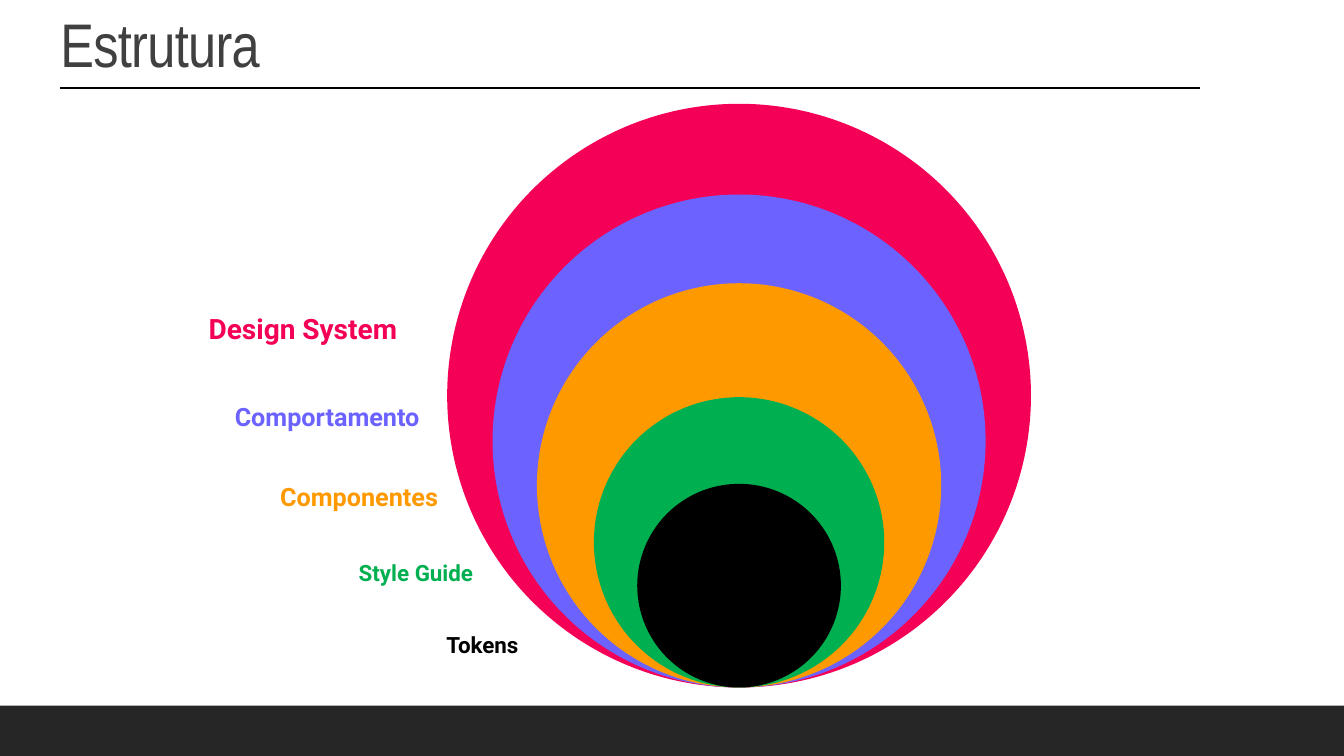
from dataclasses import dataclass

from pptx import Presentation
from pptx.dml.color import RGBColor
from pptx.enum.shapes import MSO_CONNECTOR, MSO_SHAPE
from pptx.enum.text import MSO_ANCHOR
from pptx.oxml.ns import qn
from pptx.util import Inches, Pt


@dataclass(frozen=True)
class Theme:
    heading_font: str = "Arial Narrow"
    label_font: str = "Roboto"
    heading_size: int = 44
    large: int = 20
    medium: int = 18
    small: int = 16
    heading: str = "404040"
    footer: str = "262626"
    black: str = "000000"
    pink: str = "F50057"
    violet: str = "6C63FF"
    orange: str = "FF9900"
    green: str = "00B050"


THEME = Theme()
COLUMNS, ROWS = 133.3, 75
CELL = Inches(0.1)

HEADING = "Estrutura"
# name, colour, type size, circle diameter, label left, label top, label width
LAYERS = [
    ("Design System", THEME.pink, THEME.large, 57.9, 19.7, 30.4, 22.1),
    ("Comportamento", THEME.violet, THEME.medium, 48.9, 22.3, 39.3, 22.1),
    ("Componentes", THEME.orange, THEME.medium, 40.1, 26.8, 47.3, 19.6),
    ("Style Guide", THEME.green, THEME.small, 28.8, 34.6, 55, 15),
    ("Tokens", THEME.black, THEME.small, 20.2, 43.3, 62.1, 13.3),
]
CIRCLE_CENTRE, CIRCLE_BASE = 73.3, 68.2
FOOTER_ROWS = 5
RULE_START, RULE_END, RULE_ROW = 6, 119, 8.7


def cells(*lengths):
    return [round(length * CELL) for length in lengths]


def add_filled(slide, preset, colour, *box):
    shape = slide.shapes.add_shape(preset, *cells(*box))
    shape.shadow.inherit = False
    shape.fill.solid()
    shape.fill.fore_color.rgb = RGBColor.from_string(colour)
    shape.line.fill.background()


def add_text(slide, text, font, size, colour, bold, *box):
    frame = slide.shapes.add_textbox(*cells(*box)).text_frame
    frame.word_wrap = True
    run = frame.paragraphs[0].add_run()
    run.text = text
    run.font.name = font
    run.font.size = Pt(size)
    run.font.bold = bold
    run.font.color.rgb = RGBColor.from_string(colour)
    return frame


def add_heading(slide):
    frame = add_text(slide, HEADING, THEME.heading_font, THEME.heading_size,
                     THEME.heading, False, 5, 0.9, 110, 7.6)
    frame.vertical_anchor = MSO_ANCHOR.BOTTOM
    title = frame.paragraphs[0]
    title.line_spacing = 0.9
    title.runs[0].font._element.set("spc", "-50")

    rule = slide.shapes.add_connector(
        MSO_CONNECTOR.STRAIGHT, *cells(RULE_START, RULE_ROW, RULE_END, RULE_ROW))
    rule.line.color.rgb = RGBColor.from_string(THEME.black)
    rule.line.width = Pt(1.5)
    properties = rule._element.spPr
    properties.append(properties.makeelement(qn("a:effectLst"), {}))


def add_layers(slide):
    for name, colour, size, diameter, left, top, width in LAYERS:
        add_filled(slide, MSO_SHAPE.OVAL, colour, CIRCLE_CENTRE - diameter / 2,
                   CIRCLE_BASE - diameter, diameter, diameter)
    for name, colour, size, diameter, left, top, width in LAYERS:
        height = 1 + size / 6
        add_text(slide, name, THEME.label_font, size, colour, True,
                 left, top, width, height)


def main():
    deck = Presentation()
    deck.slide_width, deck.slide_height = cells(COLUMNS, ROWS)
    slide = deck.slides.add_slide(deck.slide_layouts[6])
    add_filled(slide, MSO_SHAPE.RECTANGLE, THEME.footer,
               0, ROWS - FOOTER_ROWS, COLUMNS, FOOTER_ROWS)
    add_heading(slide)
    add_layers(slide)
    deck.save("out.pptx")


if __name__ == "__main__":
    main()
